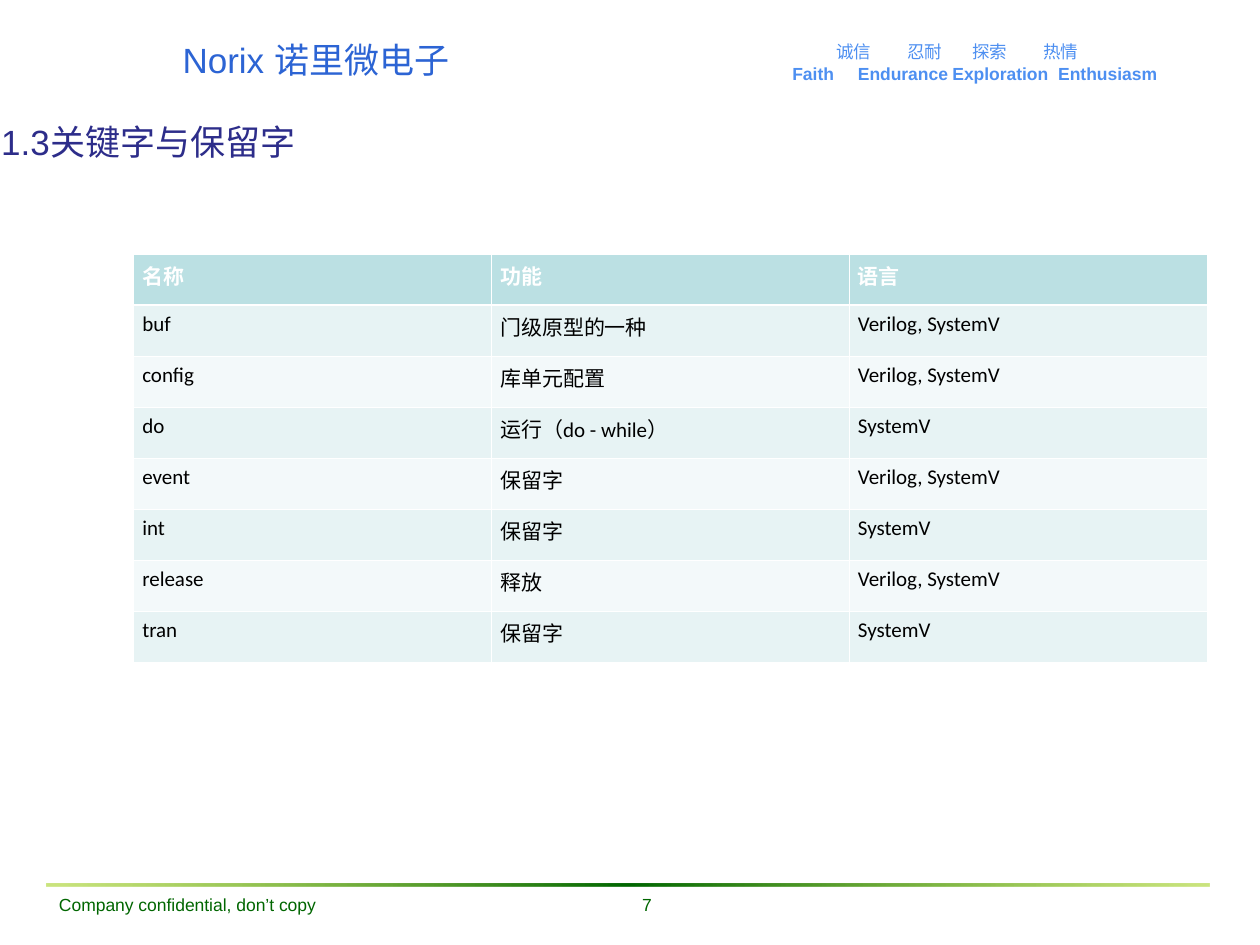
from lxml import etree
from pptx import Presentation
from pptx import util as u
from pptx.dml.color import RGBColor
from pptx.enum import shapes, text
from pptx.oxml import ns, parse_xml

CJK = "Noto Sans CJK SC"
GREEN = "006600"
deck = Presentation()
deck.slide_width, deck.slide_height = u.Inches(10), u.Inches(7.5)
W, H = deck.slide_width, deck.slide_height
slide = deck.slides.add_slide(deck.slide_layouts[5])


def color(code):
    return RGBColor.from_string(code)


def write(par, words, size, code, face="Arial", bold=False):
    run = par.add_run()
    run.text = words
    style = {"size": u.Pt(size), "name": face, "bold": bold}
    for key, val in style.items():
        setattr(run.font, key, val)
    run.font.color.rgb = color(code)
    east = etree.SubElement(run.font._element, ns.qn("a:ea"))
    east.set("typeface", CJK)


# Text frames: left, top, width, height as shares of the slide
title = slide.shapes.title
spots = {
    "brand": (0.135, 0.021, 0.272, 0.072),
    "motto": (0.569, 0.047, 0.389, 0.048),
    "note": (0.037, 0.94, 0.297, 0.036),
    "page": (0.375, 0.94, 0.277, 0.032),
    "title": (-0.009, 0.112, 0.377, 0.067),
}
pars = {}
for name, (x, y, w, h) in spots.items():
    box = title if name == "title" else slide.shapes.add_textbox(0, 0, 1, 1)
    place = {"left": int(x * W), "top": int(y * H),
             "width": int(w * W), "height": int(h * H)}
    for key, val in place.items():
        setattr(box, key, val)
    form = {"word_wrap": True, "auto_size": text.MSO_AUTO_SIZE.NONE,
            "vertical_anchor": text.MSO_ANCHOR.TOP,
            "margin_left": u.Inches(0.1), "margin_right": u.Inches(0.1),
            "margin_top": u.Inches(0.05), "margin_bottom": u.Inches(0.05)}
    for key, val in form.items():
        setattr(box.text_frame, key, val)
    pars[name] = box.text_frame.paragraphs[0]
    pars[name].alignment = text.PP_ALIGN.LEFT

# Header, title and footer wording
pars["brand"].line_spacing = 1.3
write(pars["brand"], "Norix ", 20, "2C64D4")
write(pars["brand"], "诺里微电子", 20, "2C64D4", CJK)
pars["title"].line_spacing = 1.2
write(pars["title"], "1.3关键字与保留字", 20, "2D2D8A")
write(pars["note"], "Company confidential, don’t copy", 10, GREEN)
pars["page"].alignment = text.PP_ALIGN.CENTER
write(pars["page"], "7", 10, GREEN)

# Motto: two lines set on tab stops, in inches from the text edge
motto = [
    (pars["motto"], CJK, False,
     {"诚信": 0.85, "忍耐": 1.41, "探索": 1.93, "热情": 2.49}),
    (pars["motto"]._parent.add_paragraph(), "Arial", True,
     {"Faith": 0.5, "Endurance": 1.02, "Exploration": 1.77, "Enthusiasm": 2.61}),
]
for row, (par, face, bold, words) in enumerate(motto):
    par.line_spacing = 0.5
    if row:
        par.space_before = u.Pt(6.2)
    tabs = etree.SubElement(par._p.get_or_add_pPr(), ns.qn("a:tabLst"))
    for stop in words.values():
        etree.SubElement(tabs, ns.qn("a:tab"), pos=str(u.Inches(stop)), algn="l")
    write(par, "".join("\t" + word for word in words), 10, "4D8FF1", face, bold)

# Footer rule, fading towards both ends
rule = slide.shapes.add_shape(shapes.MSO_SHAPE.RECTANGLE, int(0.037 * W),
                              int(0.935 * H), int(0.923 * W), u.Inches(0.02))
rule.shadow.inherit = False
rule.line.fill.background()
stops = "".join(
    f'<a:gs pos="{pos}"><a:srgbClr val="{code}"><a:alpha val="{alpha}"/>'
    "</a:srgbClr></a:gs>"
    for pos, code, alpha in [(0, "99CC00", 50000), (50000, GREEN, 100000),
                             (100000, "99CC00", 50000)])
fade = parse_xml(f'<a:gradFill {ns.nsdecls("a")} rotWithShape="1"><a:gsLst>{stops}'
                 '</a:gsLst><a:lin ang="0" scaled="1"/></a:gradFill>')
rule._element.spPr.find(ns.qn("a:prstGeom")).addnext(fade)

# Keyword table
BOTH, SYS = "Verilog, SystemV", "SystemV"
rows = [
    ("名称", "功能", "语言"),
    ("buf", "门级原型的一种", BOTH),
    ("config", "库单元配置", BOTH),
    ("do", "运行（do - while）", SYS),
    ("event", "保留字", BOTH),
    ("int", "保留字", SYS),
    ("release", "释放", BOTH),
    ("tran", "保留字", SYS),
]
grid = slide.shapes.add_table(len(rows), 3, int(0.106 * W), int(0.269 * H),
                              int(0.852 * W), int(0.432 * H)).table
for r, row in enumerate(rows):
    head = r == 0
    fill = "BBE0E3" if head else ("F3F9FA", "E7F3F4")[r % 2]
    for c, words in enumerate(row):
        cell = grid.cell(r, c)
        cell.margin_left = cell.margin_right = u.Inches(0.07)
        props = cell._tc.get_or_add_tcPr()
        for side in "LRTB":
            thick = (head and side == "B") or (r == 1 and side == "T")
            edge = etree.SubElement(props, ns.qn("a:ln" + side),
                                    w=str(u.Pt(1.47 if thick else 0.45)))
            paint = etree.SubElement(edge, ns.qn("a:solidFill"))
            etree.SubElement(paint, ns.qn("a:srgbClr"), val="FFFFFF")
        cell.fill.solid()
        cell.fill.fore_color.rgb = color(fill)
        write(cell.text_frame.paragraphs[0], words, 12,
              "FFFFFF" if head else "000000", "Calibri", head)

deck.save("out.pptx")
